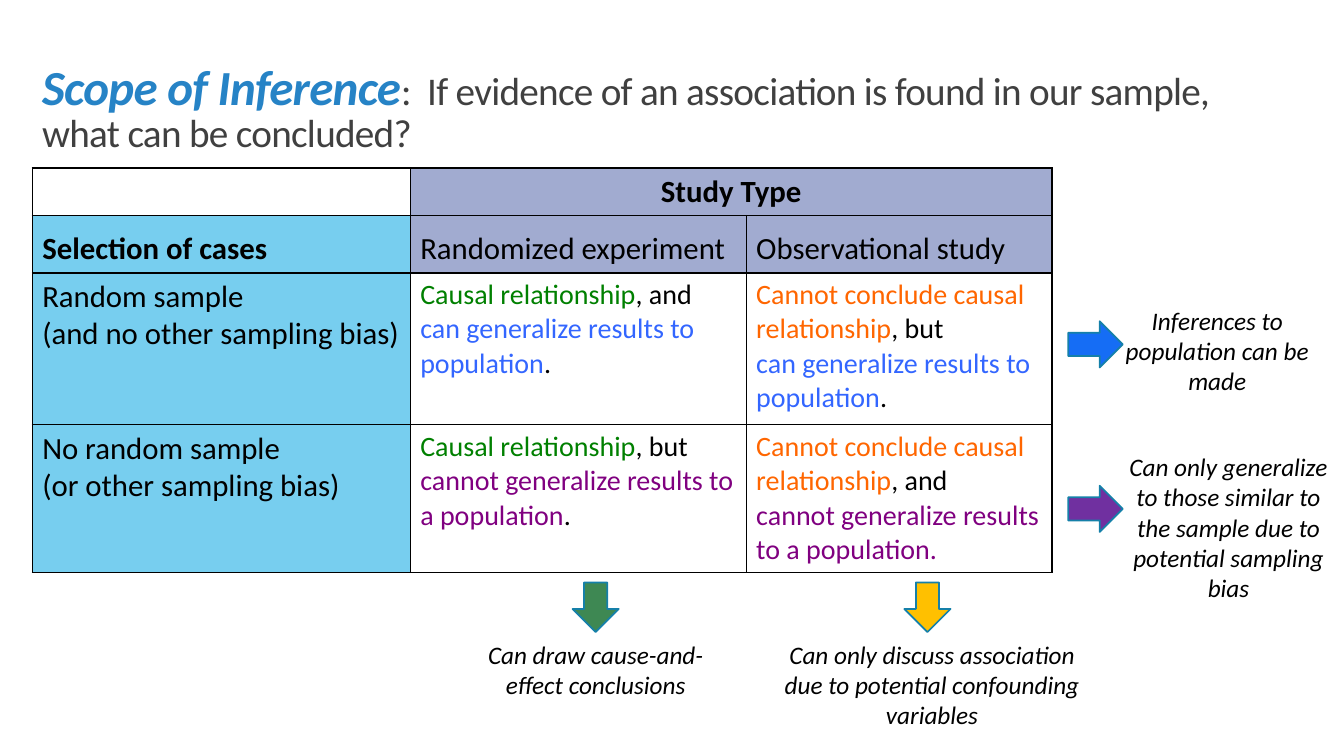
"""Build the Scope of Inference slide: a study table with arrows to its conclusions."""
import pptx
import pptx.dml.color
import pptx.enum.shapes
import pptx.enum.text
import pptx.oxml
import pptx.oxml.ns
import pptx.util
from dataclasses import dataclass

Pt = pptx.util.Pt
Anchor = pptx.enum.text.MSO_ANCHOR
Align = pptx.enum.text.PP_ALIGN
Shape = pptx.enum.shapes.MSO_SHAPE


@dataclass
class Theme:
    font: str = "Calibri"
    black: str = "000000"
    accent: str = "2683C6"
    heading: str = "404040"
    study: str = "A1ABD0"
    selection: str = "77CEEF"
    causal: str = "008000"
    not_causal: str = "FF6600"
    general: str = "3366FF"
    not_general: str = "800080"
    outline: str = "1580A9"
    blue: str = "156DF5"
    purple: str = "7030A0"
    yellow: str = "FFC000"
    green: str = "3E8853"
    term_size: int = 35
    title_size: int = 28
    label_size: int = 22
    cell_size: int = 20
    note_size: int = 18


theme = Theme()
rgb = pptx.dml.color.RGBColor.from_string


def write(frame, lines, size, bold=False, italic=False, align=Align.LEFT):
    frame.word_wrap = True
    for number, line in enumerate(lines):
        para = frame.add_paragraph() if number else frame.paragraphs[0]
        para.alignment = align
        for words, color in line:
            span = para.add_run()
            span.text = words
            span.font.name = theme.font
            span.font.size = Pt(size)
            span.font.bold = bold
            span.font.italic = italic
            span.font.color.rgb = rgb(color)


def paint(cell, color):
    if color:
        cell.fill.solid()
        cell.fill.fore_color.rgb = rgb(color)
    else:
        cell.fill.background()
    properties = cell._tc.get_or_add_tcPr()
    for position, side in enumerate(("lnL", "lnR", "lnT", "lnB")):
        border = pptx.oxml.parse_xml(
            f'<a:{side} {pptx.oxml.ns.nsdecls("a")} w="{Pt(1)}"><a:solidFill>'
            f'<a:srgbClr val="{theme.black}"/></a:solidFill></a:{side}>')
        properties.insert(position, border)


deck = pptx.Presentation()
deck.slide_width, deck.slide_height = Pt(960), Pt(540)
page = deck.slides.add_slide(deck.slide_layouts[6])

title = page.shapes.add_textbox(Pt(23), Pt(23), Pt(865.5), Pt(92)).text_frame
title.vertical_anchor = Anchor.BOTTOM
write(title, [[
    ("Scope of Inference", theme.accent),
    (":  If evidence of an association is found in our sample, what can be concluded?", theme.heading),
]], theme.title_size)
title.paragraphs[0].line_spacing = 0.85
for span in title.paragraphs[0].runs:
    span.font._element.set("spc", "-50")
term = title.paragraphs[0].runs[0].font
term.size, term.bold, term.italic = Pt(theme.term_size), True, True

widths = (270, 240, 218.5)
heights = (34, 41, 108.5, 105.5)
table = page.shapes.add_table(
    len(heights), len(widths), Pt(23), Pt(120), Pt(sum(widths)), Pt(sum(heights))).table
table.first_row = table.horz_banding = False
for column, width in zip(table.columns, widths):
    column.width = Pt(width)
for row, height in zip(table.rows, heights):
    row.height = Pt(height)

causal = ("Causal relationship", theme.causal)
not_causal = ("Cannot conclude causal relationship", theme.not_causal)
general = [("can generalize results to population", theme.general), (".", theme.black)]
joined_and, joined_but = (", and ", theme.black), (", but ", theme.black)
labels = [
    [[], ["Study Type"], []],
    [["Selection of cases"], ["Randomized experiment"], ["Observational study"]],
    [["Random sample", "(and no other sampling bias)"]],
    [["No random sample", "(or other sampling bias)"]],
]
conclusions = {
    (2, 1): [[causal, joined_and], general],
    (2, 2): [[not_causal, joined_but], general],
    (3, 1): [[causal, joined_but,
              ("cannot generalize results to a population", theme.not_general), (".", theme.black)]],
    (3, 2): [[not_causal, joined_and],
             [("cannot generalize results to a population.", theme.not_general)]],
}
table.cell(0, 1).merge(table.cell(0, 2))
for r in range(len(heights)):
    for c in range(len(widths)):
        cell = table.cell(r, c)
        header = r < 2
        cell.vertical_anchor = Anchor.BOTTOM if header else Anchor.TOP
        if (r, c) in conclusions:
            write(cell.text_frame, conclusions[r, c], theme.cell_size)
            paint(cell, None)
            continue
        write(cell.text_frame, [[(words, theme.black)] for words in labels[r][c]], theme.label_size,
              bold=r == 0 or (r, c) == (1, 0), align=Align.CENTER if r == 0 else Align.LEFT)
        paint(cell, theme.study if c else theme.selection if r else None)

arrows = [
    (Shape.RIGHT_ARROW, 763, 229.5, 39, 33, theme.blue),
    (Shape.RIGHT_ARROW, 763, 347, 39, 33, theme.purple),
    (Shape.DOWN_ARROW, 646, 416, 33, 35.5, theme.yellow),
    (Shape.DOWN_ARROW, 409, 416, 33, 35.5, theme.green),
]
for kind, left, top, width, height, color in arrows:
    arrow = page.shapes.add_shape(kind, Pt(left), Pt(top), Pt(width), Pt(height))
    arrow.shadow.inherit = False
    arrow.fill.solid()
    arrow.fill.fore_color.rgb = rgb(color)
    arrow.line.color.rgb = rgb(theme.outline)
    arrow.line.width = Pt(1.25)

notes = [
    ("Can draw cause-and-effect conclusions", 322, 453, 207, 51),
    ("Can only discuss association due to potential confounding variables", 543, 453, 245.5, 73),
    ("Can only generalize to those similar to the sample due to potential sampling bias",
     799, 319, 157, 117),
    ("Inferences to population can be made", 790, 214.5, 159, 73),
]
for words, left, top, width, height in notes:
    box = page.shapes.add_textbox(Pt(left), Pt(top), Pt(width), Pt(height))
    write(box.text_frame, [[(words, theme.black)]], theme.note_size, italic=True, align=Align.CENTER)
    box.text_frame.auto_size = pptx.enum.text.MSO_AUTO_SIZE.SHAPE_TO_FIT_TEXT

deck.save("out.pptx")
